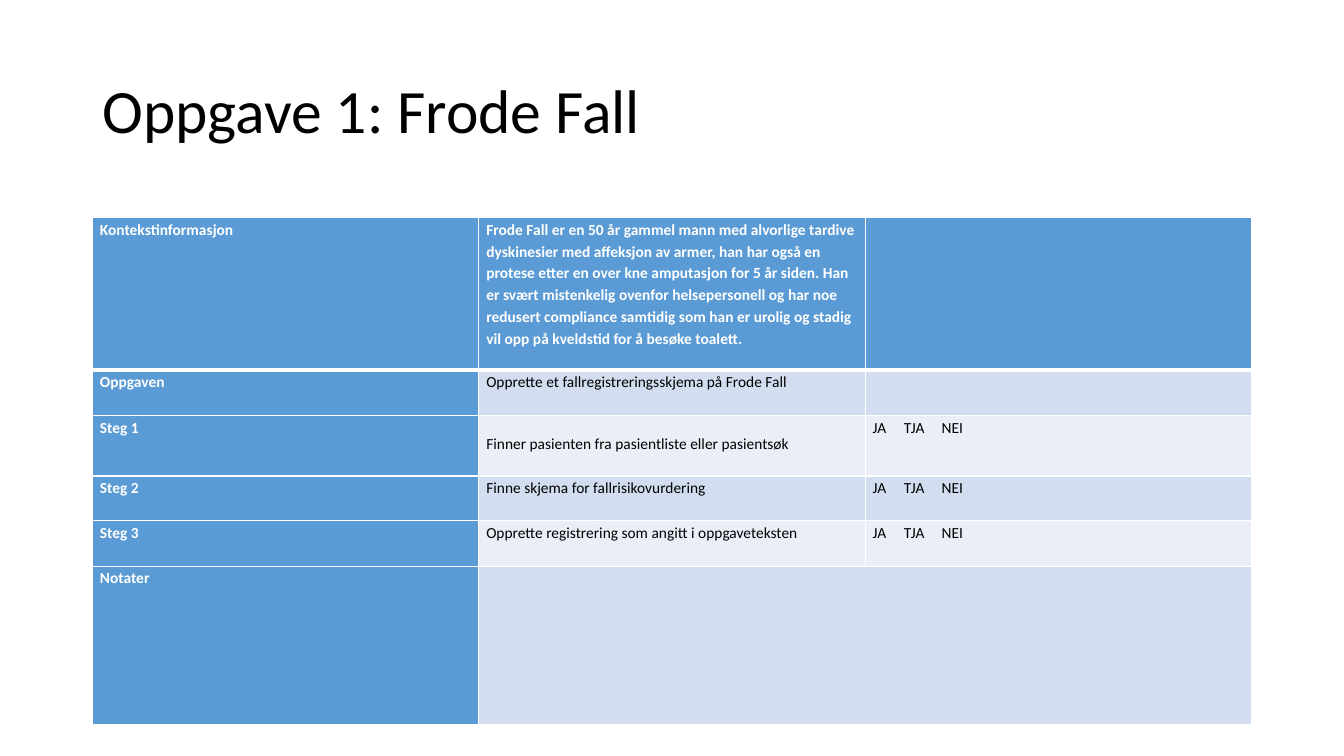
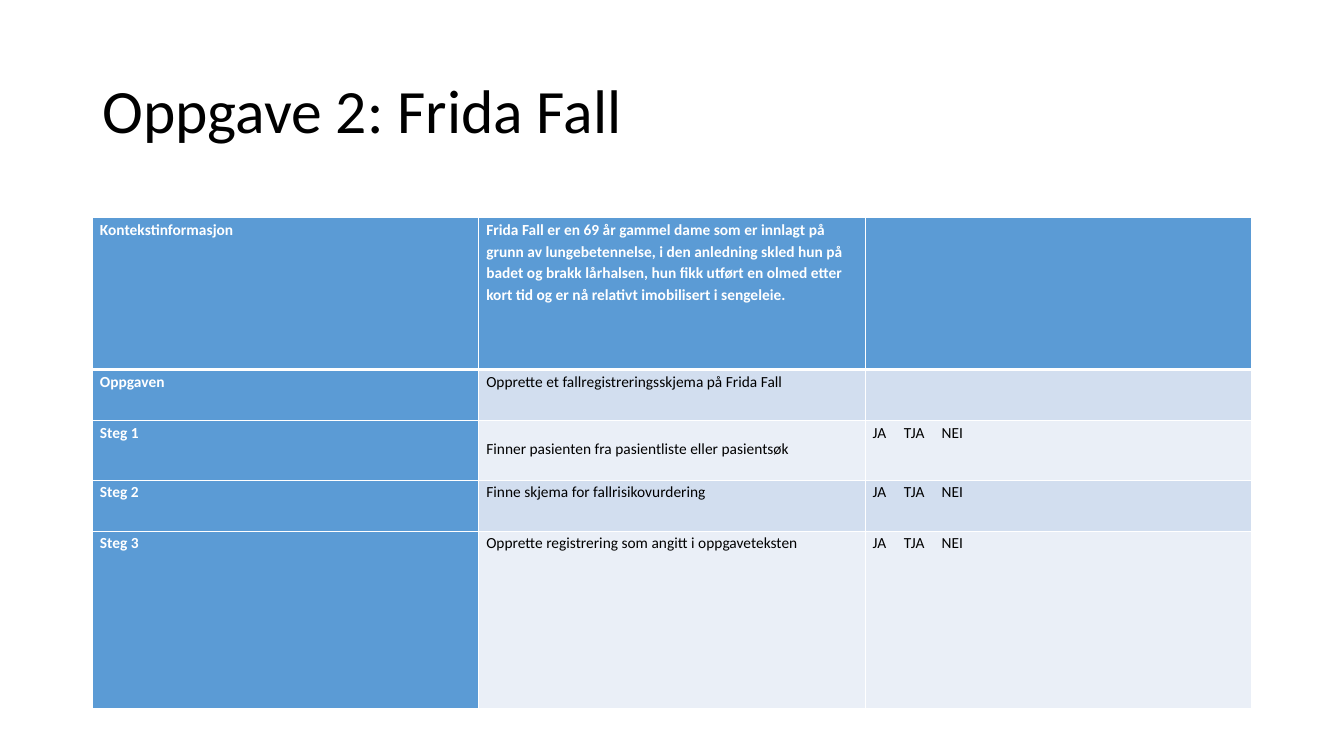
from pptx import Presentation
from pptx.dml.color import RGBColor
from pptx.enum.text import MSO_ANCHOR
from pptx.oxml.ns import qn
from pptx.util import Pt
from lxml.etree import SubElement

BLUE, PALE, MIST = "5B9BD5", "D2DEEF", "EAEFF7"
WHITE, BLACK = "FFFFFF", "000000"
FONT = "Calibri"
TITLE_BOX = (66, 29, 828, 104)
GRID_BOX = (66, 155.5, 828)
COLS = 3
PAD = 5.4
DROP = 13.4
TABS = (22.3, 49.2)
MARKS = "JA\tTJA\tNEI"
STEPS = [
    ("Steg 1", "Finner pasienten fra pasientliste eller pasientsøk", MARKS),
    ("Steg 2", "Finne skjema for fallrisikovurdering", MARKS),
    ("Steg 3", "Opprette registrering som angitt i oppgaveteksten", MARKS),
]
TASKS = [
    {
        "title": "Oppgave 1: Frode Fall",
        "rows": [
            ("Kontekstinformasjon",
             "Frode Fall er en 50 år gammel mann med alvorlige tardive "
             "dyskinesier med affeksjon av armer, han har også en protese "
             "etter en over kne amputasjon for 5 år siden. Han er svært "
             "mistenkelig ovenfor helsepersonell og har noe redusert "
             "compliance samtidig som han er urolig og stadig vil opp på "
             "kveldstid for å besøke toalett.", ""),
            ("Oppgaven", "Opprette et fallregistreringsskjema på Frode Fall", ""),
            *STEPS,
            ("Notater", "", None),
        ],
        "heights": (109, 32.5, 43, 32, 32.5, 113.5),
    },
    {
        "title": "Oppgave 2: Frida Fall",
        "rows": [
            ("Kontekstinformasjon",
             "Frida Fall er en 69 år gammel dame som er innlagt på grunn av "
             "lungebetennelse, i den anledning skled hun på badet og brakk "
             "lårhalsen, hun fikk utført en olmed etter kort tid og er nå "
             "relativt imobilisert i sengeleie.", ""),
            ("Oppgaven", "Opprette et fallregistreringsskjema på Frida Fall", ""),
            *STEPS,
        ],
        "heights": (108.5, 36.5, 42.5, 36.5, 127),
    },
]


def color(code):
    return RGBColor.from_string(code)


def write(frame, text, size=11, fill=BLACK, bold=False, lead=1.15, tabs=()):
    para = frame.paragraphs[0]
    para.line_spacing = lead
    para.font.size = Pt(size)
    if tabs:
        stops = SubElement(para._p.get_or_add_pPr(), qn("a:tabLst"))
        for stop in tabs:
            SubElement(stops, qn("a:tab"), pos=str(Pt(stop)), algn="l")
    if text:
        run = para.add_run()
        run.text = text
        font = run.font
        font.name, font.size, font.bold = FONT, Pt(size), bold
        font.color.rgb = color(fill)


def edge(cell, side, width):
    """Draw a white border on one side (L, R, T or B) of a cell."""
    line = SubElement(cell._tc.get_or_add_tcPr(), qn("a:ln" + side),
                      w=str(Pt(width)))
    paint = SubElement(line, qn("a:solidFill"))
    SubElement(paint, qn("a:srgbClr"), val=WHITE)


def style(cell, row, col):
    """Set the borders, fill and margins that a cell's place calls for."""
    for side in "LRTB":
        thick = (row, side) in ((0, "B"), (1, "T"))
        edge(cell, side, 3 if thick else 1)
    cell.fill.solid()
    band = PALE if row % 2 else MIST
    cell.fill.fore_color.rgb = color(BLUE if row == 0 or col == 0 else band)
    cell.margin_left = cell.margin_right = Pt(PAD)
    cell.margin_top = cell.margin_bottom = Pt(0)


def title(slide, box, text):
    frame = slide.shapes.add_textbox(*map(Pt, box)).text_frame
    frame.word_wrap = True
    frame.vertical_anchor = MSO_ANCHOR.MIDDLE
    write(frame, text, size=44, lead=0.9)


def grid(slide, box, rows, heights):
    """Place the task table; None in a row joins that cell to its left."""
    left, top, width = box
    table = slide.shapes.add_table(
        len(rows), COLS, Pt(left), Pt(top), Pt(width), Pt(sum(heights))).table
    table.first_row = table.horz_banding = False
    for col in table.columns:
        col.width = Pt(width / COLS)
    for r, (texts, height) in enumerate(zip(rows, heights)):
        table.rows[r].height = Pt(height)
        for c, text in enumerate(texts):
            cell = table.cell(r, c)
            style(cell, r, c)
            if text is None:
                table.cell(r, c - 1).merge(cell)
                continue
            head = r == 0 or c == 0
            low = texts[0] == "Steg 1" and c == 1
            if low:
                cell.margin_top = Pt(DROP)
            write(cell.text_frame, text, fill=WHITE if head else BLACK,
                  bold=head, lead=1.0 if low else 1.15,
                  tabs=TABS if text == MARKS else ())


def main():
    deck = Presentation()
    deck.slide_width, deck.slide_height = Pt(960), Pt(540)
    for task in TASKS:
        slide = deck.slides.add_slide(deck.slide_layouts[6])
        title(slide, TITLE_BOX, task["title"])
        grid(slide, GRID_BOX, task["rows"], task["heights"])
    deck.save("out.pptx")


if __name__ == "__main__":
    main()
